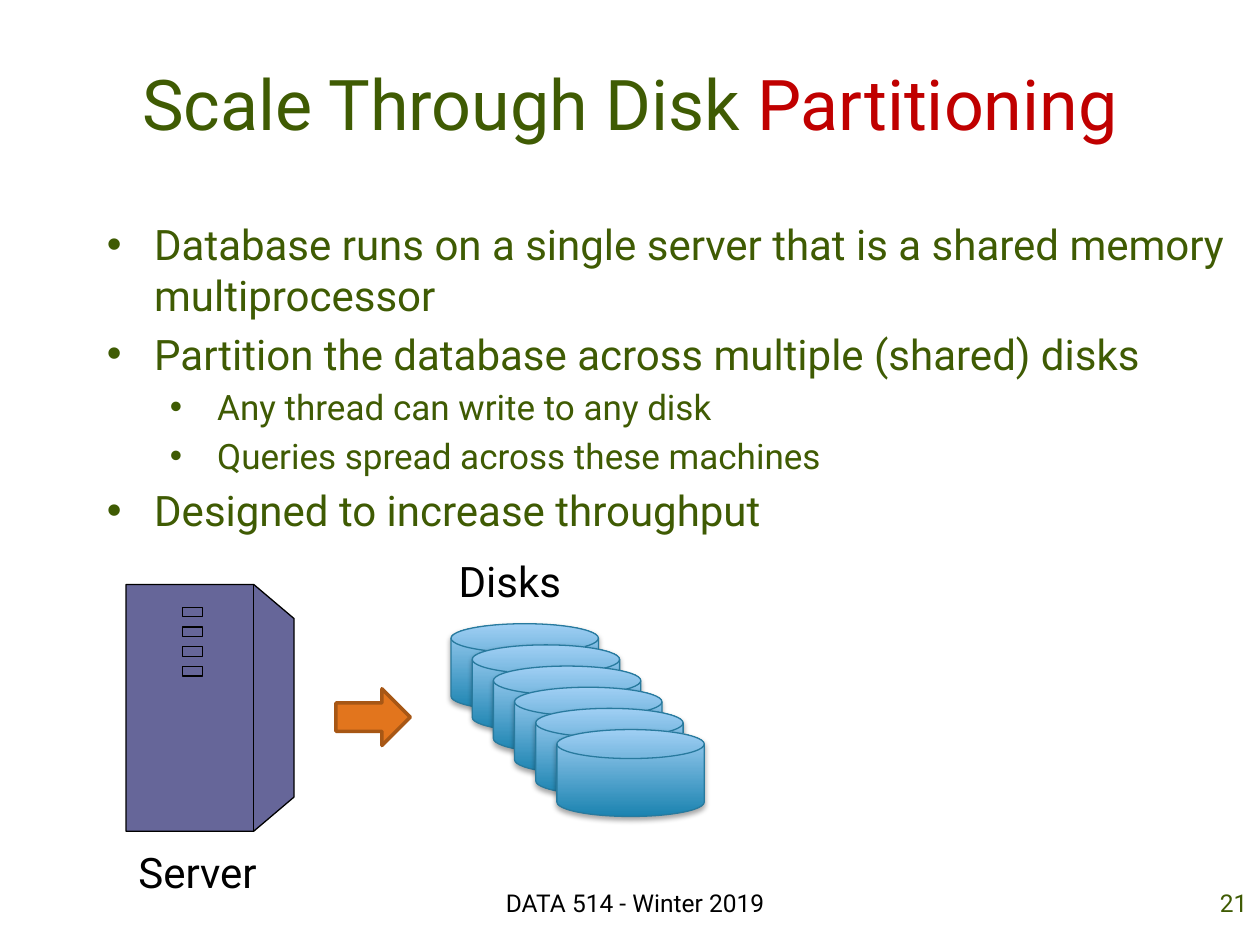
"""Builds the disk partitioning slide with python-pptx."""

from dataclasses import dataclass

from lxml import etree
from pptx import Presentation
from pptx.dml.color import RGBColor
from pptx.enum.shapes import MSO_CONNECTOR, MSO_SHAPE
from pptx.enum.text import MSO_ANCHOR, PP_ALIGN
from pptx.oxml.ns import qn
from pptx.util import Pt

LEFT, CENTER, RIGHT = PP_ALIGN.LEFT, PP_ALIGN.CENTER, PP_ALIGN.RIGHT
TOP, MIDDLE = MSO_ANCHOR.TOP, MSO_ANCHOR.MIDDLE
RECTANGLE, ARROW = MSO_SHAPE.RECTANGLE, MSO_SHAPE.RIGHT_ARROW
DISK = MSO_SHAPE.FLOWCHART_MAGNETIC_DISK
STRAIGHT = MSO_CONNECTOR.STRAIGHT

FONT = "Roboto"
BLACK = RGBColor(0x00, 0x00, 0x00)
GREEN = RGBColor(0x3F, 0x5B, 0x03)
RED = RGBColor(0xC0, 0x00, 0x00)
SERVER_PURPLE = RGBColor(0x66, 0x66, 0x99)
DISK_DARK = RGBColor(0x1B, 0x83, 0xB0)
DISK_LIGHT = RGBColor(0xA0, 0xCF, 0xF4)
DISK_LINE = RGBColor(0x28, 0x7A, 0x9E)
ORANGE = RGBColor(0xE2, 0x75, 0x1D)
ORANGE_LINE = RGBColor(0xA7, 0x57, 0x15)

DISK_COUNT, DISK_STEP = 6, 12.1
SLOT_COUNT, SLOT_STEP = 4, 11.3
BULLET_HANG = 27


@dataclass(frozen=True)
class Box:
    left: float
    top: float
    width: float
    height: float

    def lengths(self) -> tuple:
        return Pt(self.left), Pt(self.top), Pt(self.width), Pt(self.height)

    def shifted(self, right: float, down: float) -> "Box":
        return Box(self.left + right, self.top + down, self.width, self.height)


@dataclass(frozen=True)
class Bullet:
    text: str
    indent: float = 27
    size: float = 24


BULLETS = (
    Bullet("Database runs on a single server that is a shared memory multiprocessor"),
    Bullet("Partition the database across multiple (shared) disks"),
    Bullet("Any thread can write to any disk", indent=63, size=20),
    Bullet("Queries spread across these machines", indent=63, size=20),
    Bullet("Designed to increase throughput"),
)
SERVER_OUTLINE = ((145, 334), (168, 353.5), (168, 455.5), (145, 475), (72, 475), (72, 334))


def add_run(paragraph, text: str, *, size: float, color: RGBColor) -> None:
    run = paragraph.add_run()
    run.text = text
    run.font.name = FONT
    run.font.size = Pt(size)
    run.font.color.rgb = color


def add_text(slide, box: Box, text: str, *, size: float, color: RGBColor = BLACK,
             align=LEFT, anchor=TOP):
    frame = slide.shapes.add_textbox(*box.lengths()).text_frame
    frame.word_wrap = True
    frame.vertical_anchor = anchor
    paragraph = frame.paragraphs[0]
    paragraph.alignment = align
    if text:
        add_run(paragraph, text, size=size, color=color)
    return frame


def add_bullets(slide, box: Box, bullets: tuple[Bullet, ...]) -> None:
    frame = add_text(slide, box, "", size=24)
    for index, bullet in enumerate(bullets):
        paragraph = frame.add_paragraph() if index else frame.paragraphs[0]
        properties = paragraph._p.get_or_add_pPr()
        properties.set("marL", str(Pt(bullet.indent)))
        properties.set("indent", str(-Pt(BULLET_HANG)))
        etree.SubElement(properties, qn("a:buFont"), typeface="Arial")
        etree.SubElement(properties, qn("a:buChar"), char="•")
        if index:
            paragraph.space_before = Pt(bullet.size * 0.2)
        add_run(paragraph, bullet.text, size=bullet.size, color=GREEN)


def style_shape(shape, fill: RGBColor, line: RGBColor, line_width: float = 0.75) -> None:
    shape.shadow.inherit = False
    shape.fill.solid()
    shape.fill.fore_color.rgb = fill
    shape.line.color.rgb = line
    shape.line.width = Pt(line_width)


def add_disk(slide, box: Box) -> None:
    disk = slide.shapes.add_shape(DISK, *box.lengths())
    style_shape(disk, DISK_DARK, DISK_LINE)
    disk.fill.gradient()
    disk.fill.gradient_angle = 90
    for stop, color in zip(disk.fill.gradient_stops, (DISK_DARK, DISK_LIGHT)):
        stop.color.rgb = color
    effects = disk._element.spPr.find(qn("a:effectLst"))
    shadow = etree.SubElement(effects, qn("a:outerShdw"), blurRad=str(Pt(3.1)),
                              dist=str(Pt(1.8)), dir="5400000", rotWithShape="0")
    shadow_color = etree.SubElement(shadow, qn("a:srgbClr"), val=str(BLACK))
    etree.SubElement(shadow_color, qn("a:alpha"), val="35000")


def add_server(slide) -> None:
    points = [(Pt(x), Pt(y)) for x, y in SERVER_OUTLINE]
    builder = slide.shapes.build_freeform(*points[0])
    builder.add_line_segments(points[1:], close=True)
    style_shape(builder.convert_to_shape(), SERVER_PURPLE, BLACK)

    edge = slide.shapes.add_connector(STRAIGHT, Pt(145), Pt(334), Pt(145), Pt(475))
    edge.line.color.rgb = BLACK
    edge.line.width = Pt(0.75)
    etree.SubElement(edge._element.spPr, qn("a:effectLst"))

    slot = Box(104.4, 347, 11.3, 5.4)
    for index in range(SLOT_COUNT):
        box = slot.shifted(0, index * SLOT_STEP)
        style_shape(slide.shapes.add_shape(RECTANGLE, *box.lengths()), SERVER_PURPLE, BLACK)


def main() -> None:
    presentation = Presentation()
    presentation.slide_width, presentation.slide_height = Pt(720), Pt(540)
    slide = presentation.slides.add_slide(presentation.slide_layouts[6])

    title = add_text(slide, Box(54, 13.5, 612, 90), "Scale Through Disk ", size=40,
                     color=GREEN, align=CENTER, anchor=MIDDLE)
    add_run(title.paragraphs[0], "Partitioning", size=40, color=RED)
    add_bullets(slide, Box(54, 121.5, 666, 358.5), BULLETS)
    add_text(slide, Box(678, 504, 42, 36), "21", size=14, color=GREEN, align=RIGHT)
    add_text(slide, Box(222, 504, 282, 36), "DATA 514 - Winter 2019", size=14, align=CENTER)

    add_server(slide)
    first_disk = Box(257.75, 356.4, 84.25, 49.7)
    for index in range(DISK_COUNT):
        add_disk(slide, first_disk.shifted(index * DISK_STEP, index * DISK_STEP))
    arrow = slide.shapes.add_shape(ARROW, *Box(192, 393.6, 42.5, 32.4).lengths())
    style_shape(arrow, ORANGE, ORANGE_LINE, line_width=2)
    add_text(slide, Box(72, 480, 102, 36), "Server", size=24)
    add_text(slide, Box(255, 314, 75, 36), "Disks", size=24)

    presentation.save("out.pptx")


if __name__ == "__main__":
    main()
